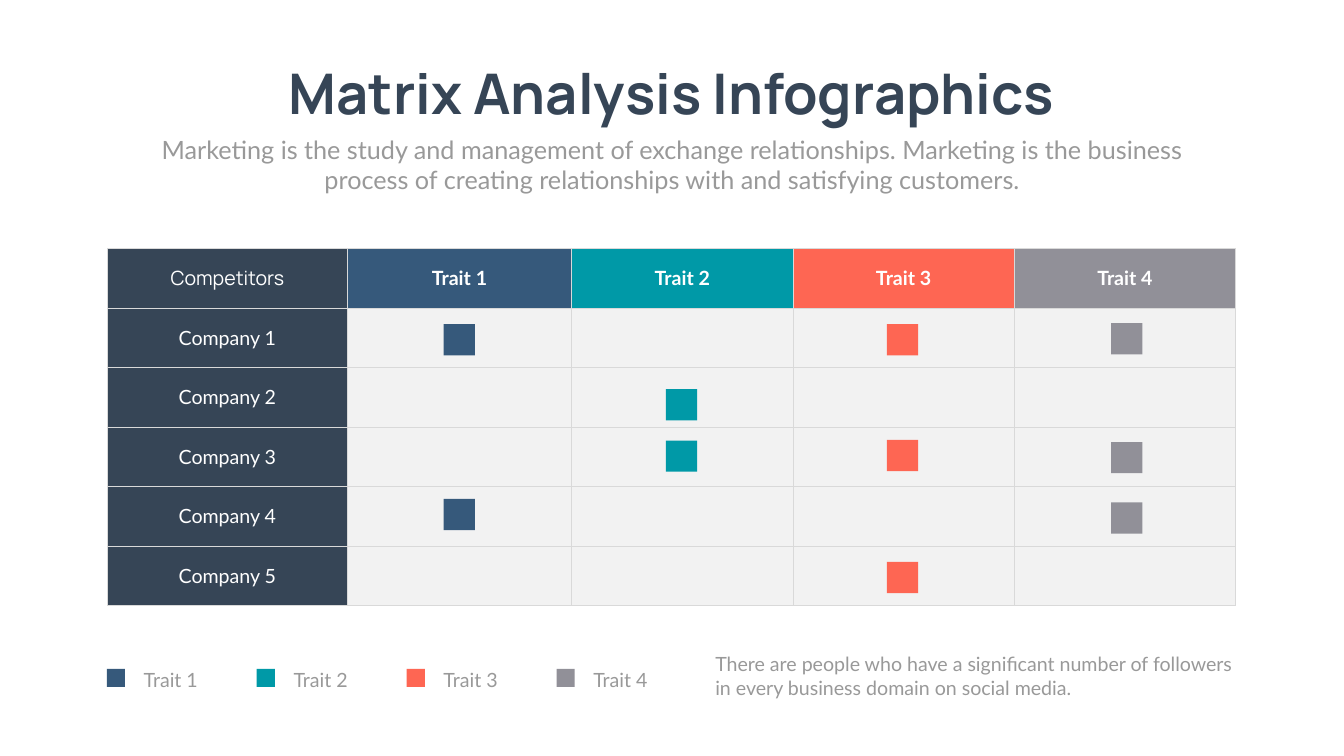
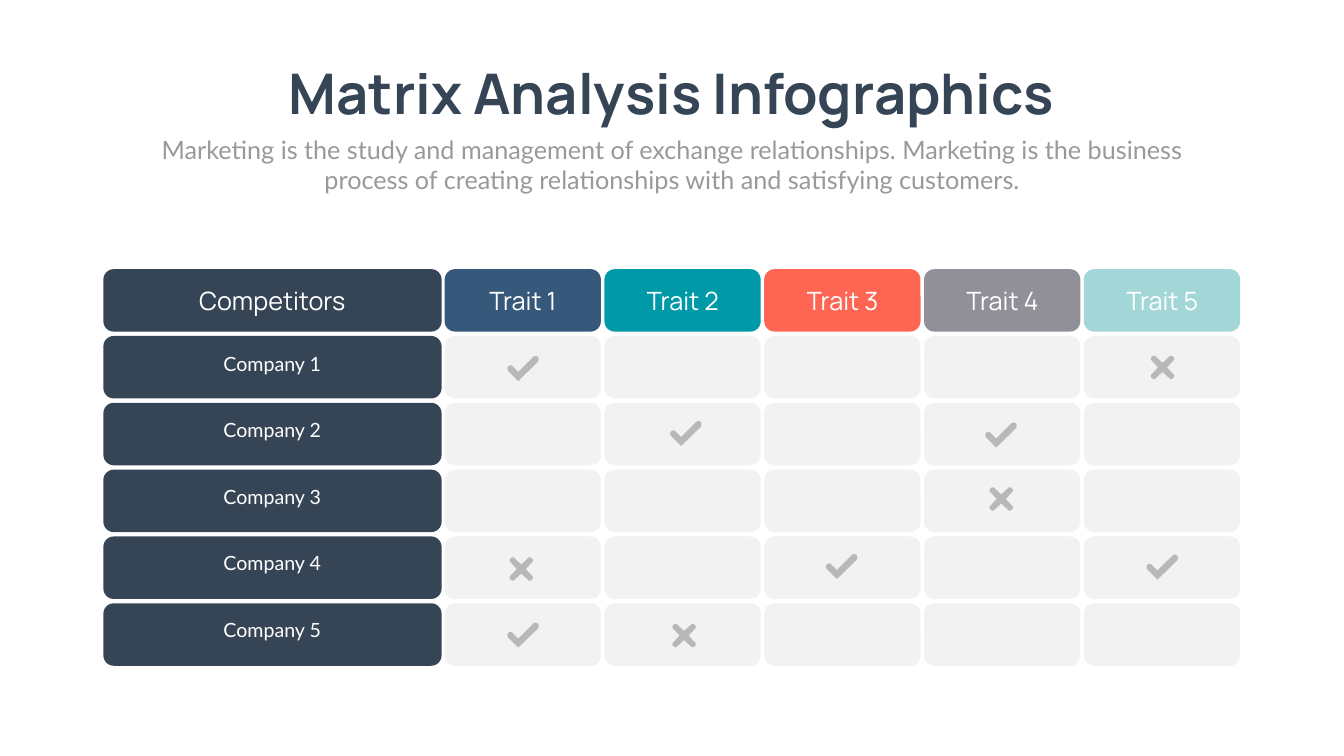
from lxml import etree
from pptx import Presentation
from pptx.dml.color import RGBColor
from pptx.enum.shapes import MSO_SHAPE
from pptx.enum.text import MSO_ANCHOR, MSO_AUTO_SIZE, PP_ALIGN
from pptx.oxml.ns import qn
from pptx.util import Inches, Pt

RECT = MSO_SHAPE.RECTANGLE
ROUND = MSO_SHAPE.ROUNDED_RECTANGLE
TOP = MSO_ANCHOR.TOP
MIDDLE = MSO_ANCHOR.MIDDLE
GROW = MSO_AUTO_SIZE.SHAPE_TO_FIT_TEXT
LEFT = PP_ALIGN.LEFT
CENTER = PP_ALIGN.CENTER

HEAD = "Manrope"
BODY = "Lato"
DARK = "364556"
GREY = "999999"
PALE = "F2F2F2"
EDGE = "D9D9D9"
MARK = "808080"
WHITE = "FFFFFF"
HUES = ["36597B", "0099A7", "FE6653", "919098", "A3D7D7"]

TITLE = "Matrix Analysis Infographics"
INTRO = ("Marketing is the study and management of exchange relationships. "
         "Marketing is the business process of creating relationships with "
         "and satisfying customers.")
NOTE = ("There are people who have a significant number of followers "
        "in every business domain on social media.")
CORNER = "Competitors"
TRAITS = [f"Trait {n}" for n in range(1, 6)]
FIRMS = [f"Company {n}" for n in range(1, 6)]

COLS = [4.76, 4.45, 4.39, 4.39, 4.39]
ROW = 1.18
DOTS = [
    (8.8, [6.43, 9.9]),
    (13.21, [7.72, 8.74]),
    (17.59, [6.43, 8.73, 11.15]),
    (22.04, [6.41, 8.77, 9.97]),
]
STEP = 8.92 / 3

TILE_X = 8.82
TILE_Y = 5.34
TILE_H = 1.24
PITCH_X = 3.17
PITCH_Y = 6.63 / 5

TICK = [
    [(0.22, 0.5)], [(0.02, 0.3)],
    [(0, 0.27), (0, 0.23), (0.02, 0.21)],
    [(0.05, 0.18), (0.09, 0.18), (0.11, 0.21)],
    [(0.22, 0.32)], [(0.52, 0.02)],
    [(0.54, 0), (0.58, 0), (0.61, 0.02)],
    [(0.63, 0.05), (0.63, 0.09), (0.61, 0.12)],
]
ARM = [
    [(0.33, 0.24)], [(0.45, 0.11)],
    [(0.48, 0.09), (0.48, 0.05), (0.45, 0.03)],
    [(0.43, 0), (0.39, 0), (0.37, 0.03)],
]
TICKS = [(10.06, 7.06), (13.29, 8.35), (19.54, 8.38), (16.38, 10.99),
         (22.74, 11), (10.06, 12.35)]
CROSSES = [(22.82, 7.05), (19.62, 9.66), (10.1, 11.05), (13.33, 12.37)]


def color(code):
    return RGBColor.from_string(code)


def box(*sizes):
    return [Inches(size) for size in sizes]


def write(frame, text, size, face, hue, align=CENTER, bold=False):
    para = frame.paragraphs[0]
    para.alignment = align
    run = para.add_run()
    run.text = text
    font = run.font
    font.size = Pt(size)
    font.name = face
    font.bold = bold
    font.color.rgb = color(hue)
    return para


def label(slide, place, text, size, face, hue, align=CENTER):
    frame = slide.shapes.add_textbox(*box(*place)).text_frame
    frame.word_wrap = True
    frame.auto_size = GROW
    return frame, write(frame, text, size, face, hue, align)


def paint(shape, hue):
    shape.shadow.inherit = False
    shape.fill.solid()
    shape.fill.fore_color.rgb = color(hue)
    shape.line.fill.background()


def block(slide, kind, place, hue):
    paint(slide.shapes.add_shape(kind, *box(*place)), hue)


def start(deck):
    slide = deck.slides.add_slide(deck.slide_layouts[5])
    title = slide.shapes.title
    title.left, title.top, title.width, title.height = box(4.97, 1.12, 16.71, 1.45)
    frame = title.text_frame
    frame.word_wrap = False
    frame.auto_size = GROW
    frame.vertical_anchor = TOP
    write(frame, TITLE, 80, HEAD, DARK, bold=True)
    label(slide, (2.92, 2.61, 20.82, 1.31), INTRO, 36, BODY, GREY)
    return slide


def border(cell):
    props = cell._tc.get_or_add_tcPr()
    for spot, side in enumerate(("a:lnL", "a:lnR", "a:lnT", "a:lnB")):
        line = etree.Element(qn(side), w=str(Pt(1)))
        fill = etree.SubElement(line, qn("a:solidFill"))
        etree.SubElement(fill, qn("a:srgbClr"), val=EDGE)
        props.insert(spot, line)


def fill_cell(cell, hue, text="", face=BODY, bold=False):
    cell.fill.solid()
    cell.fill.fore_color.rgb = color(hue)
    cell.vertical_anchor = MIDDLE
    border(cell)
    if text:
        write(cell.text_frame, text, 28, face, WHITE, bold=bold)


def matrix(slide):
    count = len(FIRMS) + 1
    place = box(2.13, 4.93, sum(COLS), ROW * count)
    table = slide.shapes.add_table(count, len(COLS), *place).table
    table.first_row = False
    table.horz_banding = False
    for col, width in zip(table.columns, COLS):
        col.width = Inches(width)
    for row in table.rows:
        row.height = Inches(ROW)
    fill_cell(table.cell(0, 0), DARK, CORNER, HEAD)
    for c in range(1, len(COLS)):
        fill_cell(table.cell(0, c), HUES[c - 1], TRAITS[c - 1], bold=True)
    for r, firm in enumerate(FIRMS, 1):
        fill_cell(table.cell(r, 0), DARK, firm)
        for c in range(1, len(COLS)):
            fill_cell(table.cell(r, c), PALE)


def legend(slide):
    for i, (trait, hue) in enumerate(zip(TRAITS[:4], HUES)):
        shift = i * STEP
        frame, para = label(slide, (2.61 + shift, 13.03, 3.34, 0.75),
                            trait, 28, BODY, GREY, LEFT)
        frame.margin_left = frame.margin_right = Inches(0.24)
        frame.margin_top = frame.margin_bottom = Inches(0.12)
        para.line_spacing = Pt(40.8)
        block(slide, RECT, (2.12 + shift, 13.27, 0.36, 0.36), hue)


def tiles(slide):
    for r, name in enumerate([CORNER] + FIRMS):
        top = TILE_Y + r * PITCH_Y
        block(slide, ROUND, (2.05, top, 6.71, TILE_H), DARK)
        for c, hue in enumerate(HUES):
            left = TILE_X + c * PITCH_X
            block(slide, ROUND, (left, top, 3.1, TILE_H), PALE if r else hue)
        size, face, high = (28, BODY, 0.57) if r else (36, HEAD, 0.71)
        label(slide, (3.32, 5.61 + r * 1.32, 4.16, high), name, size, face, WHITE)
    for c, trait in enumerate(TRAITS):
        label(slide, (9.11 + c * PITCH_X, 5.61, 2.53, 0.71), trait, 36, HEAD, WHITE)


def cross():
    path, arm = [], ARM
    for _ in range(4):
        path += arm
        arm = [[(y, 0.48 - x) for x, y in part] for part in arm]
    return path


def trace(path):
    points = []
    for part in path:
        if len(part) == 1:
            points += part
            continue
        curve = [points[-1]] + part
        for i in range(1, 7):
            t = i / 6
            rates = [(1 - t) ** 3, 3 * t * (1 - t) ** 2, 3 * t * t * (1 - t), t ** 3]
            points.append(tuple(sum(k * p[axis] for k, p in zip(rates, curve))
                                for axis in (0, 1)))
    return points


def stamp(slide, path, left, top):
    points = [box(left + x, top + y) for x, y in trace(path)]
    pen = slide.shapes.build_freeform(*points[0])
    pen.add_line_segments(points[1:], close=True)
    shape = pen.convert_to_shape()
    paint(shape, MARK)
    tone = shape.fill._xPr.find(qn("a:solidFill"))[0]
    etree.SubElement(tone, qn("a:alpha"), val="50000")


def dot_slide(deck):
    slide = start(deck)
    matrix(slide)
    legend(slide)
    label(slide, (14.09, 12.89, 10.64, 1.04), NOTE, 28, BODY, GREY, LEFT)
    for (left, tops), hue in zip(DOTS, HUES):
        for top in tops:
            block(slide, RECT, (left, top, 0.62, 0.62), hue)


def tile_slide(deck):
    slide = start(deck)
    tiles(slide)
    for path, spots in ((TICK, TICKS), (cross(), CROSSES)):
        for spot in spots:
            stamp(slide, path, *spot)


def main():
    deck = Presentation()
    deck.slide_width, deck.slide_height = box(26.66, 15)
    dot_slide(deck)
    tile_slide(deck)
    deck.save("out.pptx")


if __name__ == "__main__":
    main()
